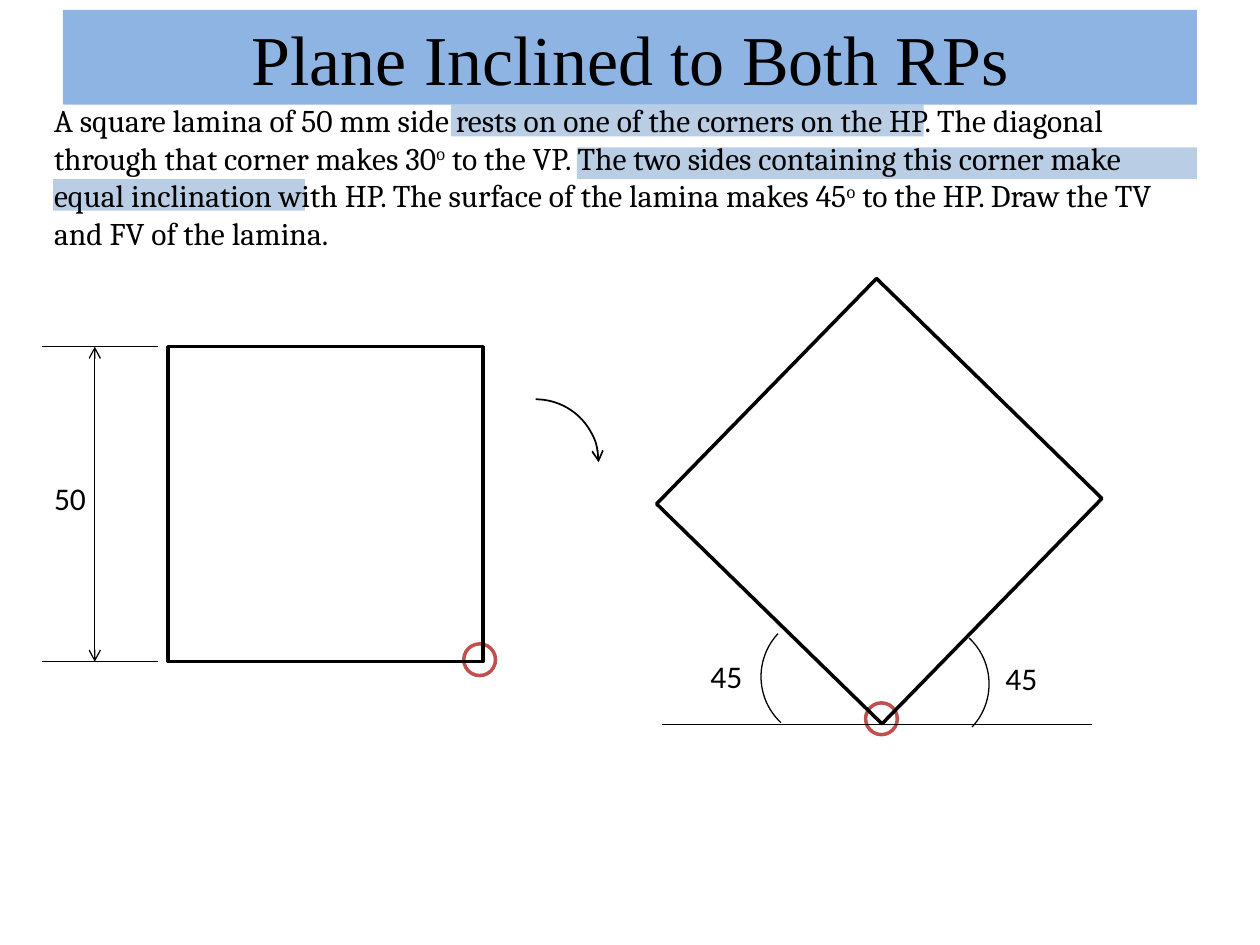
from lxml import etree
from pptx import Presentation
from pptx.dml.color import RGBColor
from pptx.enum.shapes import MSO_CONNECTOR, MSO_SHAPE
from pptx.enum.text import MSO_ANCHOR, MSO_AUTO_SIZE, PP_ALIGN
from pptx.oxml.ns import qn
from pptx.util import Cm, Pt

RECT, OVAL, ARC = MSO_SHAPE.RECTANGLE, MSO_SHAPE.OVAL, MSO_SHAPE.ARC
STRAIGHT = MSO_CONNECTOR.STRAIGHT
MIDDLE = MSO_ANCHOR.MIDDLE
GROW = MSO_AUTO_SIZE.SHAPE_TO_FIT_TEXT
CENTER = PP_ALIGN.CENTER

BLACK = RGBColor(0x00, 0x00, 0x00)
RED = RGBColor(0xC0, 0x50, 0x4D)
TITLE_BLUE = RGBColor(0x8E, 0xB4, 0xE3)
MARKER_BLUE = RGBColor(0xB9, 0xCD, 0xE5)


class DrawingSheet:
    title_font, body_font, label_font = "Times New Roman", "Cambria", "Calibri"
    title_size, body_size = Pt(40), Pt(18)
    thin, medium, thick = Pt(0.75), Pt(1), Pt(2)

    def __init__(self, slide):
        self.slide = slide

    def style_run(self, run, font, size):
        run.font.name = font
        run.font.size = size
        run.font.color.rgb = BLACK

    def add_arrowheads(self, shape, ends):
        for end in ends:
            etree.SubElement(shape.line._get_or_add_ln(), qn(f"a:{end}"), type="arrow")

    def filled(self, left, top, width, height, color):
        band = self.slide.shapes.add_shape(RECT, Cm(left), Cm(top), Cm(width), Cm(height))
        band.shadow.inherit = False
        band.fill.solid()
        band.fill.fore_color.rgb = color
        band.line.fill.background()
        return band

    def outline(self, kind, left, top, size, weight, color=BLACK, angle=0, ends=()):
        figure = self.slide.shapes.add_shape(kind, Cm(left), Cm(top), Cm(size), Cm(size))
        figure.shadow.inherit = False
        figure.fill.background()
        figure.line.color.rgb = color
        figure.line.width = weight
        figure.rotation = angle
        self.add_arrowheads(figure, ends)

    def line(self, x1, y1, x2, y2, ends=()):
        stroke = self.slide.shapes.add_connector(STRAIGHT, Cm(x1), Cm(y1), Cm(x2), Cm(y2))
        stroke.line.color.rgb = BLACK
        stroke.line.width = self.thin
        self.add_arrowheads(stroke, ends)
        etree.SubElement(stroke._element.spPr, qn("a:effectLst"))

    def title(self, text, left, top, width, height):
        banner = self.filled(left, top, width, height, TITLE_BLUE)
        frame = banner.text_frame
        frame.text = text
        frame.vertical_anchor = MIDDLE
        frame.paragraphs[0].alignment = CENTER
        self.style_run(frame.paragraphs[0].runs[0], self.title_font, self.title_size)

    def statement(self, parts, left, top, width, height):
        frame = self.slide.shapes.add_textbox(Cm(left), Cm(top), Cm(width), Cm(height)).text_frame
        frame.word_wrap = True
        frame.auto_size = GROW
        for text, raised in parts:
            run = frame.paragraphs[0].add_run()
            run.text = text
            self.style_run(run, self.body_font, self.body_size)
            if raised:
                run._r.get_or_add_rPr().set("baseline", "30000")

    def label(self, text, left, top):
        frame = self.slide.shapes.add_textbox(Cm(left), Cm(top), Cm(1.17), Cm(1.02)).text_frame
        frame.text = text
        frame.word_wrap = False
        frame.auto_size = GROW
        self.style_run(frame.paragraphs[0].runs[0], self.label_font, self.body_size)


def main():
    deck = Presentation()
    deck.slide_width, deck.slide_height = Cm(25.4), Cm(19.05)
    sheet = DrawingSheet(deck.slides.add_slide(deck.slide_layouts[6]))

    for left, top in ((17.45, 14.17), (9.35, 12.98)):
        sheet.outline(OVAL, left, top, 0.64, sheet.thick, RED)
    for left, top, width in ((1.07, 3.61, 5.08), (11.63, 2.97, 12.5), (9.09, 2.11, 9.53)):
        sheet.filled(left, top, width, 0.64, MARKER_BLUE)

    sheet.title("Plane Inclined to Both RPs", 1.27, 0.2, 22.86, 1.91)
    sheet.statement((
        ("A square lamina of 50 mm side rests on one of the corners on the HP. "
         "The diagonal through that corner makes 30", False),
        ("o", True),
        (" to the VP. The two sides containing this corner make equal inclination "
         "with HP. The surface of the lamina makes 45", False),
        ("o", True),
        (" to the HP. Draw the TV and FV of the lamina.", False),
    ), 0.84, 1.91, 23.5, 3.33)

    side, square_top = 6.35, 6.99
    square_bottom = square_top + side
    sheet.outline(RECT, 3.39, square_top, side, sheet.thick)
    sheet.line(1.91, square_top, 1.91, square_bottom, ("headEnd", "tailEnd"))
    for level in (square_top, square_bottom):
        sheet.line(3.18, level, 0.84, level)
    sheet.label("50", 0.84, 9.53)

    sheet.outline(ARC, 9.53, 8.05, 2.54, sheet.medium, ends=("tailEnd",))
    sheet.outline(RECT, 14.55, 6.93, side, sheet.thick, angle=44.3)
    sheet.line(13.34, 14.61, 22.02, 14.61)
    for left, top, angle in ((17.4, 12.52, 43.1), (15.34, 12.37, 223.1)):
        sheet.outline(ARC, left, top, 2.54, sheet.thin, angle=angle)
    for left, top in ((14.07, 13.13), (20.02, 13.16)):
        sheet.label("45", left, top)

    deck.save("out.pptx")


if __name__ == "__main__":
    main()
